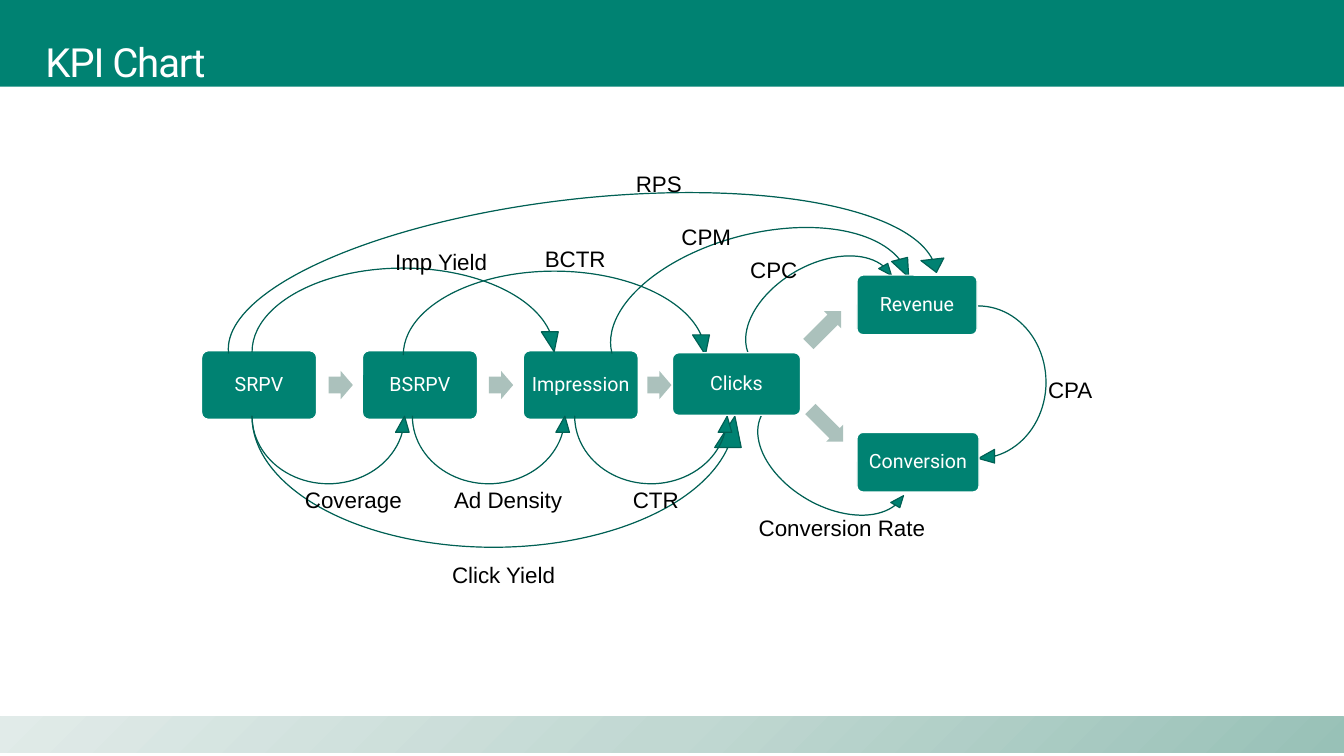
import copy
from dataclasses import dataclass

import pptx
import pptx.dml.color
import pptx.enum.shapes
import pptx.enum.text
import pptx.oxml.ns
import pptx.util
from pptx.shapes.autoshape import Shape
from pptx.slide import Slide
from pptx.text.text import TextFrame

Inches = pptx.util.Inches
Pt = pptx.util.Pt
RGBColor = pptx.dml.color.RGBColor
SHAPE = pptx.enum.shapes.MSO_SHAPE
ALIGN = pptx.enum.text.PP_ALIGN
ANCHOR = pptx.enum.text.MSO_ANCHOR

GREEN = RGBColor(0x00, 0x82, 0x72)
DARK_GREEN = RGBColor(0x00, 0x60, 0x54)
GREY_GREEN = RGBColor(0xAB, 0xC1, 0xBC)
WHITE = RGBColor(0xFF, 0xFF, 0xFF)
BLACK = RGBColor(0x00, 0x00, 0x00)
FOOTER_COLORS = (
    RGBColor(0x98, 0xC1, 0xB7),
    RGBColor(0xC1, 0xD8, 0xD2),
    RGBColor(0xE1, 0xEB, 0xE9),
)
OUTLINE = 0.85


@dataclass(frozen=True)
class Box:
    left: float
    top: float
    width: float
    height: float


@dataclass(frozen=True)
class Stage:
    name: str
    box: Box


@dataclass(frozen=True)
class Step:
    box: Box
    rotation: float = 0


@dataclass(frozen=True)
class Ratio:
    """A KPI: its curved arrow and its label."""
    name: str
    label: Box
    curve: Box
    rotation: float = 0
    flip: str = ""
    head: float = 0.238


FUNNEL = [
    Stage(name, Box(2 + 1.595 * i, 3.48, 1.14, 0.68))
    for i, name in enumerate(("SRPV", "BSRPV", "Impression"))
]
OUTCOMES = [
    Stage("Clicks", Box(6.67, 3.5, 1.27, 0.62)),
    Stage("Conversion", Box(8.5, 4.29, 1.21, 0.59)),
    Stage("Revenue", Box(8.5, 2.73, 1.19, 0.59)),
]
STEPS = [Step(Box(left, 3.68, 0.24, 0.28)) for left in (3.26, 4.85, 6.42)] + [
    Step(Box(7.95, 3.13, 0.46, 0.24), 315),
    Step(Box(7.97, 4.1, 0.46, 0.24), 45),
]
RATIOS = [
    Ratio("RPS", Box(5.87, 1.64, 1.33, 0.38), Box(2.18, 1.97, 7.18, 1.13), 353.5, head=0.118),
    Ratio("Imp Yield", Box(3.75, 2.41, 1.25, 0.38), Box(2.5, 2.66, 3.08, 0.83)),
    Ratio("Coverage", Box(2.92, 4.77, 1.17, 0.38), Box(2.5, 4.13, 1.58, 0.67), flip="V"),
    Ratio("BCTR", Box(5.29, 2.38, 0.83, 0.38), Box(4, 2.69, 3.08, 0.83)),
    Ratio("CPM", Box(6.63, 2.16, 0.75, 0.38), Box(5.92, 2.32, 3.12, 0.81), 345.6),
    Ratio("Click Yield", Box(4.33, 5.52, 1.33, 0.38), Box(2.5, 4.13, 4.92, 1.3), flip="V"),
    Ratio("CPA", Box(9.95, 3.68, 1.33, 0.38), Box(9.25, 3.49, 1.58, 0.67), 270, "HV"),
    Ratio("CPC", Box(7.3, 2.49, 0.75, 0.38), Box(7.2, 2.65, 1.67, 0.51), 149.9, "HV"),
    Ratio("Ad Density", Box(4.33, 4.77, 1.42, 0.38), Box(4.09, 4.13, 1.58, 0.67), flip="V"),
    Ratio("CTR", Box(6.17, 4.77, 0.67, 0.38), Box(5.7, 4.13, 1.58, 0.67), flip="V"),
    Ratio("Conversion Rate", Box(7.31, 5.05, 2.08, 0.38), Box(7.32, 4.49, 1.67, 0.51), 210.1, "H"),
]


def place(box: Box) -> tuple:
    return Inches(box.left), Inches(box.top), Inches(box.width), Inches(box.height)


def add_figure(slide: Slide, kind: SHAPE, box: Box, fill: RGBColor,
               line: RGBColor | None = None) -> Shape:
    figure = slide.shapes.add_shape(kind, *place(box))
    figure.shadow.inherit = False
    figure.fill.solid()
    figure.fill.fore_color.rgb = fill
    if line is None:
        figure.line.fill.background()
    else:
        figure.line.color.rgb = line
        figure.line.width = Pt(OUTLINE)
    return figure


def write(frame: TextFrame, words: str, font: str, size: float, color: RGBColor,
          align: ALIGN = ALIGN.CENTER):
    frame.word_wrap = True
    frame.paragraphs[0].alignment = align
    run = frame.paragraphs[0].add_run()
    run.text = words
    run.font.name = font
    run.font.size = Pt(size)
    run.font.color.rgb = color
    return run


def add_banner(slide: Slide) -> None:
    add_figure(slide, SHAPE.RECTANGLE, Box(0, 0, 13.33, 0.86), GREEN)
    title = slide.shapes.add_textbox(*place(Box(0.29, 0.32, 11.87, 1.45))).text_frame
    title.margin_left = title.margin_right = Inches(0.16)
    title.margin_top = title.margin_bottom = Inches(0.1)
    title.paragraphs[0].line_spacing = 0.9
    run = write(title, "KPI Chart", "Roboto", 28.7, WHITE, ALIGN.LEFT)
    run.font._element.set("spc", "-80")


def add_footer(slide: Slide) -> None:
    footer = add_figure(slide, SHAPE.RECTANGLE, Box(0, 7.11, 13.33, 0.36), GREEN)
    footer.fill.gradient()
    footer.fill.gradient_angle = 135
    stops = footer.element.spPr.find(".//" + pptx.oxml.ns.qn("a:gsLst"))
    stops.append(copy.deepcopy(stops[0]))
    for i, (stop, color) in enumerate(zip(footer.fill.gradient_stops, FOOTER_COLORS)):
        stop.color.rgb = color
        stop.position = i / 2


def add_stage(slide: Slide, stage: Stage) -> None:
    card = add_figure(slide, SHAPE.ROUNDED_RECTANGLE, stage.box, GREEN, WHITE)
    card.adjustments[0] = 0.1
    frame = card.text_frame
    # Narrow side margins keep the longest name on one line
    frame.margin_left = frame.margin_right = Inches(0.02)
    frame.margin_top = frame.margin_bottom = Inches(0.06)
    frame.vertical_anchor = ANCHOR.MIDDLE
    frame.paragraphs[0].line_spacing = 0.9
    write(frame, stage.name, "Roboto", 14, WHITE)


def add_step(slide: Slide, step: Step) -> None:
    arrow = add_figure(slide, SHAPE.RIGHT_ARROW, step.box, GREY_GREEN)
    arrow.adjustments[0] = 0.6
    arrow.adjustments[1] = 0.5
    arrow.rotation = step.rotation


def add_curve(slide: Slide, ratio: Ratio) -> None:
    curve = add_figure(slide, SHAPE.CURVED_DOWN_ARROW, ratio.curve, GREEN, DARK_GREEN)
    for i, value in enumerate((0, 0.202, ratio.head)):
        curve.adjustments[i] = value
    curve.rotation = ratio.rotation
    for axis in ratio.flip:
        curve.element.spPr.get_or_add_xfrm().set("flip" + axis, "1")


def add_label(slide: Slide, ratio: Ratio) -> None:
    frame = slide.shapes.add_textbox(*place(ratio.label)).text_frame
    frame.auto_size = pptx.enum.text.MSO_AUTO_SIZE.SHAPE_TO_FIT_TEXT
    frame.paragraphs[0].space_before = Pt(1.6)
    write(frame, ratio.name, "Arial", 16, BLACK)


def main() -> None:
    deck = pptx.Presentation()
    deck.slide_width = Inches(13.33)
    deck.slide_height = Inches(7.5)
    slide = deck.slides.add_slide(deck.slide_layouts[6])

    # Frame of the slide
    add_footer(slide)
    add_banner(slide)

    # Funnel, with the outcomes above the curves that reach them
    for stage in FUNNEL:
        add_stage(slide, stage)
    for ratio in RATIOS:
        add_curve(slide, ratio)
    for stage in OUTCOMES:
        add_stage(slide, stage)
    for step in STEPS:
        add_step(slide, step)

    # Names of the ratios
    for ratio in RATIOS:
        add_label(slide, ratio)

    deck.save("out.pptx")


if __name__ == "__main__":
    main()
